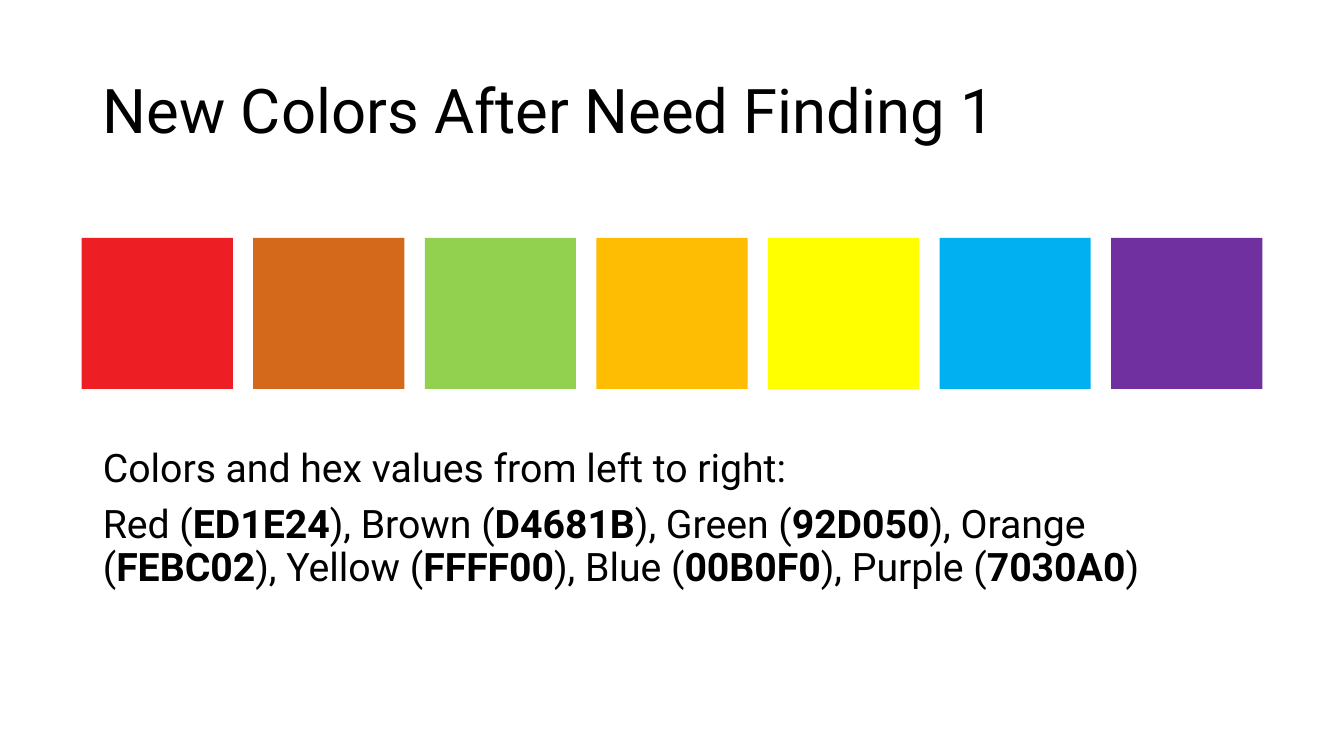
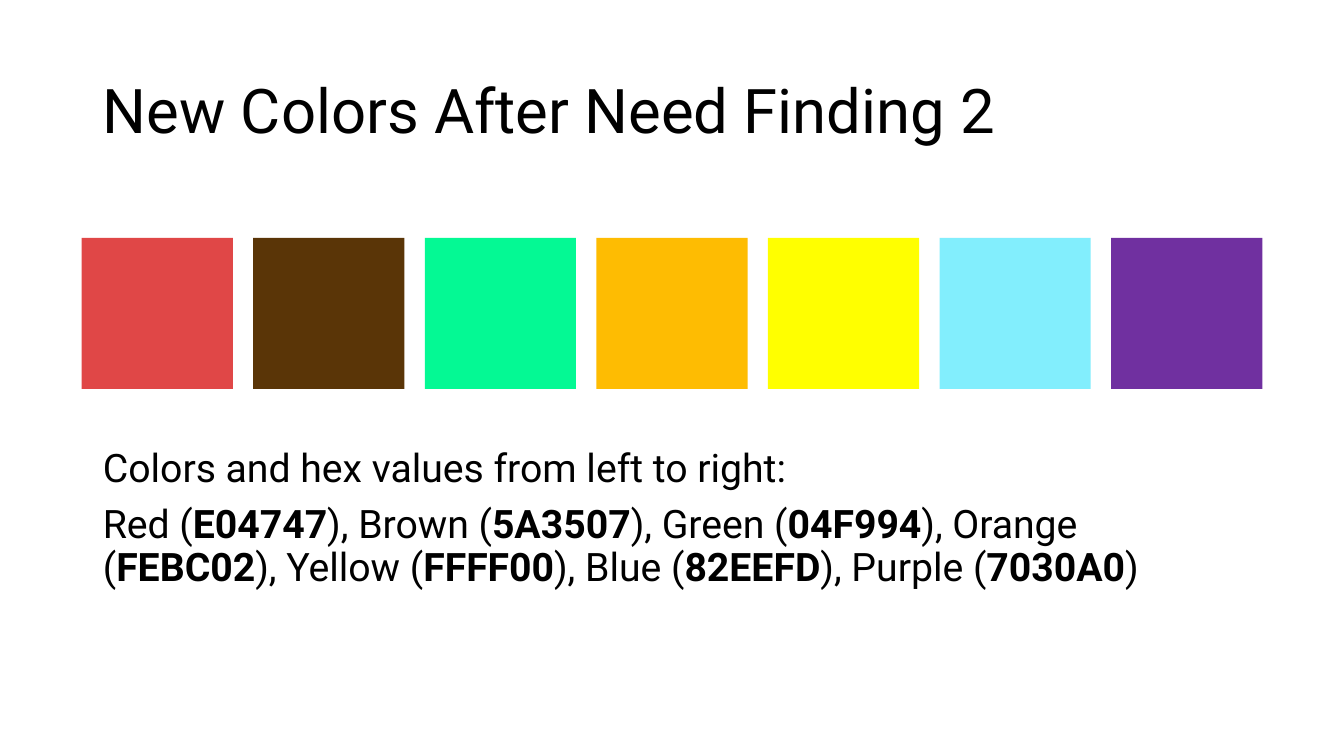
from dataclasses import dataclass

import pptx
import pptx.dml.color
import pptx.enum.shapes
import pptx.enum.text
import pptx.oxml
import pptx.util

Inches = pptx.util.Inches
Pt = pptx.util.Pt
RGBColor = pptx.dml.color.RGBColor
ANCHOR = pptx.enum.text.MSO_ANCHOR


@dataclass(frozen=True)
class Theme:
    font: str = "Roboto"
    ink: str = "000000"
    title_size: int = 44
    body_size: int = 28
    line_spacing: float = 0.9
    body_space_before: int = 10


THEME = Theme()

# Layout, in inches
TITLE_BOX = (0.92, 0.4, 11.5, 1.45)
BODY_BOX = (0.92, 4.4, 11.5, 2.35)
ROW_LEFT, ROW_RIGHT, ROW_TOP = 0.81, 12.52, 2.36
SWATCH_SIDE = 1.5

# Content
COLOR_NAMES = ("Red", "Brown", "Green", "Orange", "Yellow", "Blue", "Purple")
PALETTES = {
    "New Colors After Need Finding 1":
        ("ED1E24", "D4681B", "92D050", "FEBC02", "FFFF00", "00B0F0", "7030A0"),
    "New Colors After Need Finding 2":
        ("E04747", "5A3507", "04F994", "FEBC02", "FFFF00", "82EEFD", "7030A0"),
}


def place(placeholder, box, anchor):
    """Move a placeholder and return its text frame."""
    (placeholder.left, placeholder.top,
     placeholder.width, placeholder.height) = map(Inches, box)
    frame = placeholder.text_frame
    frame.word_wrap = True
    frame.auto_size = pptx.enum.text.MSO_AUTO_SIZE.NONE
    frame.vertical_anchor = anchor
    return frame


def style_paragraph(paragraph, size, space_before=0):
    paragraph.alignment = pptx.enum.text.PP_ALIGN.LEFT
    paragraph.line_spacing = THEME.line_spacing
    paragraph.space_before = Pt(space_before)
    paragraph.font.name = THEME.font
    paragraph.font.size = Pt(size)
    paragraph.font.color.rgb = RGBColor.from_string(THEME.ink)


def remove_bullet(paragraph):
    properties = paragraph._p.get_or_add_pPr()
    properties.set("marL", "0")
    properties.set("indent", "0")
    bullet_none = pptx.oxml.parse_xml(
        '<a:buNone xmlns:a="http://schemas.openxmlformats.org/drawingml/2006/main"/>')
    properties.insert_element_before(
        bullet_none, "a:tabLst", "a:defRPr", "a:extLst")


def add_run(paragraph, text, bold=None):
    run = paragraph.add_run()
    run.text = text
    run.font.bold = bold


def add_title(slide, text):
    frame = place(slide.shapes.title, TITLE_BOX, ANCHOR.MIDDLE)
    frame.text = text
    style_paragraph(frame.paragraphs[0], THEME.title_size)


def add_swatches(slide, palette):
    """Spread equal squares evenly between the row's two ends."""
    pitch = (ROW_RIGHT - ROW_LEFT - SWATCH_SIDE) / (len(palette) - 1)
    for index, hex_value in enumerate(palette):
        swatch = slide.shapes.add_shape(
            pptx.enum.shapes.MSO_SHAPE.RECTANGLE,
            Inches(ROW_LEFT + index * pitch), Inches(ROW_TOP),
            Inches(SWATCH_SIDE), Inches(SWATCH_SIDE))
        swatch.shadow.inherit = False
        swatch.fill.solid()
        swatch.fill.fore_color.rgb = RGBColor.from_string(hex_value)
        swatch.line.fill.background()


def add_color_list(slide, palette):
    frame = place(slide.placeholders[1], BODY_BOX, ANCHOR.TOP)
    intro, color_list = frame.paragraphs[0], frame.add_paragraph()
    add_run(intro, "Colors and hex values from left to right:")

    separator = ""
    for name, hex_value in zip(COLOR_NAMES, palette):
        add_run(color_list, f"{separator}{name} (")
        add_run(color_list, hex_value, bold=True)
        separator = "), "
    add_run(color_list, ")")

    for paragraph in (intro, color_list):
        style_paragraph(paragraph, THEME.body_size, THEME.body_space_before)
        remove_bullet(paragraph)


def main():
    deck = pptx.Presentation()
    deck.slide_width, deck.slide_height = Inches(13.33), Inches(7.5)
    title_and_content = deck.slide_layouts[1]
    for title, palette in PALETTES.items():
        slide = deck.slides.add_slide(title_and_content)
        add_title(slide, title)
        add_swatches(slide, palette)
        add_color_list(slide, palette)
    deck.save("out.pptx")


if __name__ == "__main__":
    main()
